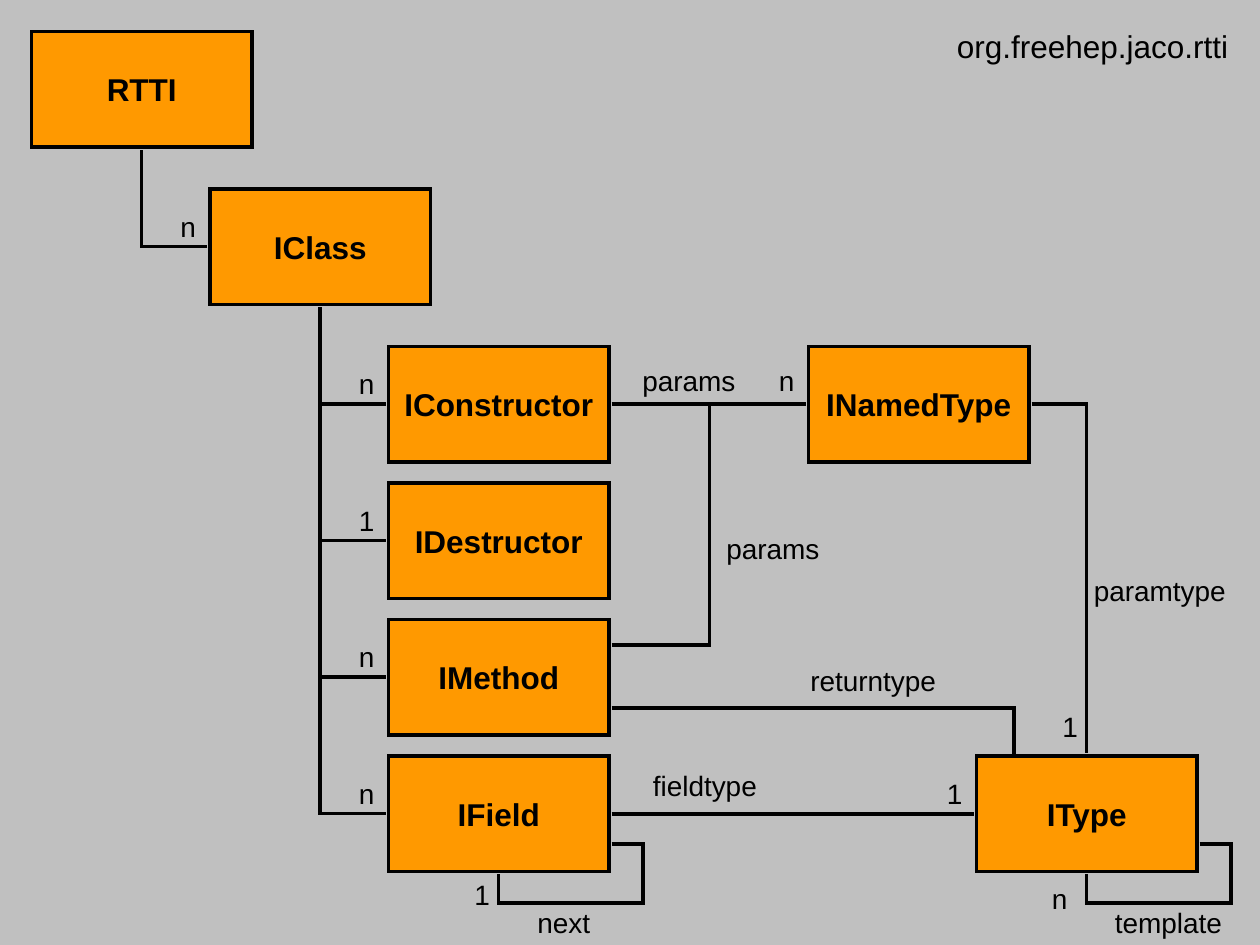
from dataclasses import dataclass

import pptx
import pptx.dml.color
import pptx.enum.shapes
import pptx.enum.text
import pptx.oxml.ns
import pptx.util
from lxml import etree

Pt = pptx.util.Pt
RGBColor = pptx.dml.color.RGBColor
ALIGN = pptx.enum.text.PP_ALIGN
ANCHOR = pptx.enum.text.MSO_ANCHOR
AUTO_SIZE = pptx.enum.text.MSO_AUTO_SIZE
CONNECTOR = pptx.enum.shapes.MSO_CONNECTOR
RECTANGLE = pptx.enum.shapes.MSO_SHAPE.RECTANGLE
qn = pptx.oxml.ns.qn

GRAY = RGBColor(0xC0, 0xC0, 0xC0)
ORANGE = RGBColor(0xFF, 0x99, 0x00)
BLACK = RGBColor(0x00, 0x00, 0x00)

SLIDE_W, SLIDE_H = 720, 540
BOX_W, BOX_H = 126, 66
GAP = 1.5  # between a box edge and the end of a line
LABEL_H = 26.6


@dataclass(frozen=True)
class ClassBox:
    name: str
    left: float
    top: float
    multiplicity: str = ""

    @property
    def right(self) -> float:
        return self.left + BOX_W

    @property
    def bottom(self) -> float:
        return self.top + BOX_H

    @property
    def center(self) -> float:
        return self.left + BOX_W / 2

    @property
    def middle(self) -> float:
        return self.top + BOX_H / 2


@dataclass(frozen=True)
class Label:
    text: str
    left: float
    top: float
    width: float = 23
    height: float = LABEL_H
    size: float = 16
    align: ALIGN = ALIGN.LEFT


@dataclass(frozen=True)
class Link:
    """A line that leaves its start sideways; bends are fractions of its size."""
    start: tuple[float, float]
    end: tuple[float, float]
    preset: str = "bentConnector2"
    bends: tuple[float, ...] = ()


def write(frame, text: str, size: float, align: ALIGN, bold: bool = False) -> None:
    frame.word_wrap = False
    paragraph = frame.paragraphs[0]
    paragraph.alignment = align
    run = paragraph.add_run()
    run.text = text
    run.font.name = "Arial"
    run.font.size = Pt(size)
    run.font.bold = bold
    run.font.color.rgb = BLACK


def draw_rectangle(slide, left: float, top: float, width: float, height: float,
                   fill: RGBColor):
    rectangle = slide.shapes.add_shape(RECTANGLE, Pt(left), Pt(top), Pt(width), Pt(height))
    rectangle.shadow.inherit = False
    rectangle.fill.solid()
    rectangle.fill.fore_color.rgb = fill
    return rectangle


def set_outline(shape) -> None:
    """Black 2 pt line with sharp corners."""
    shape.line.color.rgb = BLACK
    shape.line.width = Pt(2)
    outline = shape._element.spPr.find(qn("a:ln"))
    etree.SubElement(outline, qn("a:miter"), lim="800000")


def draw_class(slide, box: ClassBox) -> None:
    rectangle = draw_rectangle(slide, box.left, box.top, BOX_W, BOX_H, ORANGE)
    set_outline(rectangle)
    rectangle.text_frame.vertical_anchor = ANCHOR.MIDDLE
    write(rectangle.text_frame, box.name, 18, ALIGN.CENTER, bold=True)
    if box.multiplicity:
        draw_label(slide, Label(box.multiplicity, box.left - 24, box.top + 8))


def draw_label(slide, label: Label) -> None:
    frame = slide.shapes.add_textbox(Pt(label.left), Pt(label.top), Pt(label.width),
                                     Pt(label.height)).text_frame
    write(frame, label.text, label.size, label.align)
    frame.auto_size = AUTO_SIZE.SHAPE_TO_FIT_TEXT


def draw_link(slide, link: Link) -> None:
    straight = link.start[1] == link.end[1]
    kind = CONNECTOR.STRAIGHT if straight else CONNECTOR.ELBOW
    line = slide.shapes.add_connector(kind, *(Pt(v) for v in link.start + link.end))
    set_outline(line)
    properties = line._element.spPr
    etree.SubElement(properties, qn("a:effectLst"))
    if straight:
        return
    geometry = properties.find(qn("a:prstGeom"))
    geometry.set("prst", link.preset)
    guides = geometry.find(qn("a:avLst"))
    for number, bend in enumerate(link.bends, 1):
        etree.SubElement(guides, qn("a:gd"), name=f"adj{number}",
                         fmla=f"val {round(bend * 100000)}")


def owner_link(owner: ClassBox, part: ClassBox) -> Link:
    return Link((part.left - GAP, part.middle), (owner.center, owner.bottom + GAP))


def self_link(box: ClassBox) -> Link:
    start = (box.right + GAP, box.top + 50.25)
    end = (box.center, box.bottom + GAP)
    outer_x, lower_y = box.right + 19.5, box.bottom + 18
    bends = ((outer_x - start[0]) / (end[0] - start[0]),
             (lower_y - start[1]) / (end[1] - start[1]))
    return Link(start, end, "bentConnector4", bends)


def main() -> None:
    deck = pptx.Presentation()
    deck.slide_width, deck.slide_height = Pt(SLIDE_W), Pt(SLIDE_H)
    slide = deck.slides.add_slide(deck.slide_layouts[6])

    # Backdrop
    draw_rectangle(slide, 0, 0, SLIDE_W, SLIDE_H, GRAY).line.fill.background()

    # Classes
    rtti = ClassBox("RTTI", 18, 18)
    iclass = ClassBox("IClass", 120, 108, "n")
    members = [
        ClassBox(name, 222, 198 + 78 * row, multiplicity)
        for row, (name, multiplicity) in enumerate(
            [("IConstructor", "n"), ("IDestructor", "1"), ("IMethod", "n"), ("IField", "n")])
    ]
    constructor, _, method, field = members
    named_type = ClassBox("INamedType", 462, constructor.top)
    itype = ClassBox("IType", 558, field.top, "1")

    # Associations
    links = [owner_link(rtti, iclass)]
    links += [owner_link(iclass, member) for member in members]
    links += [self_link(box) for box in (field, itype)]
    member_x = constructor.right + GAP
    params_end = (named_type.left - GAP, named_type.middle)
    links += [
        Link((member_x, constructor.middle), params_end),
        Link((member_x, method.middle - 18.5), params_end, "bentConnector3", (0.505,)),
        Link((named_type.right + GAP, named_type.middle), (itype.center, itype.top - GAP)),
        Link((member_x, method.middle + 17.5), (579.5, itype.top)),
        Link((member_x, field.middle), (itype.left - GAP, itype.middle)),
    ]
    for link in links:
        draw_link(slide, link)
    for box in (rtti, iclass, *members, named_type, itype):
        draw_class(slide, box)

    # Role names and remaining multiplicities
    labels = [
        Label("params", 360, 204, 68),
        Label("n", 438, 204),
        Label("params", 408, 300, 68),
        Label("paramtype", 618, 324, 92),
        Label("1", 600, 402),
        Label("returntype", 456, 375.5, 88),
        Label("fieldtype", 366, 435.5, 76),
        Label("1", 264, 498),
        Label("next", 300, 513.75, 46),
        Label("n", 594, 500),
        Label("template", 630, 513.75, 77),
        # Package name
        Label("org.freehep.jaco.rtti", 534, 12, 175, 29, 18, ALIGN.RIGHT),
    ]
    for label in labels:
        draw_label(slide, label)

    deck.save("out.pptx")


if __name__ == "__main__":
    main()
